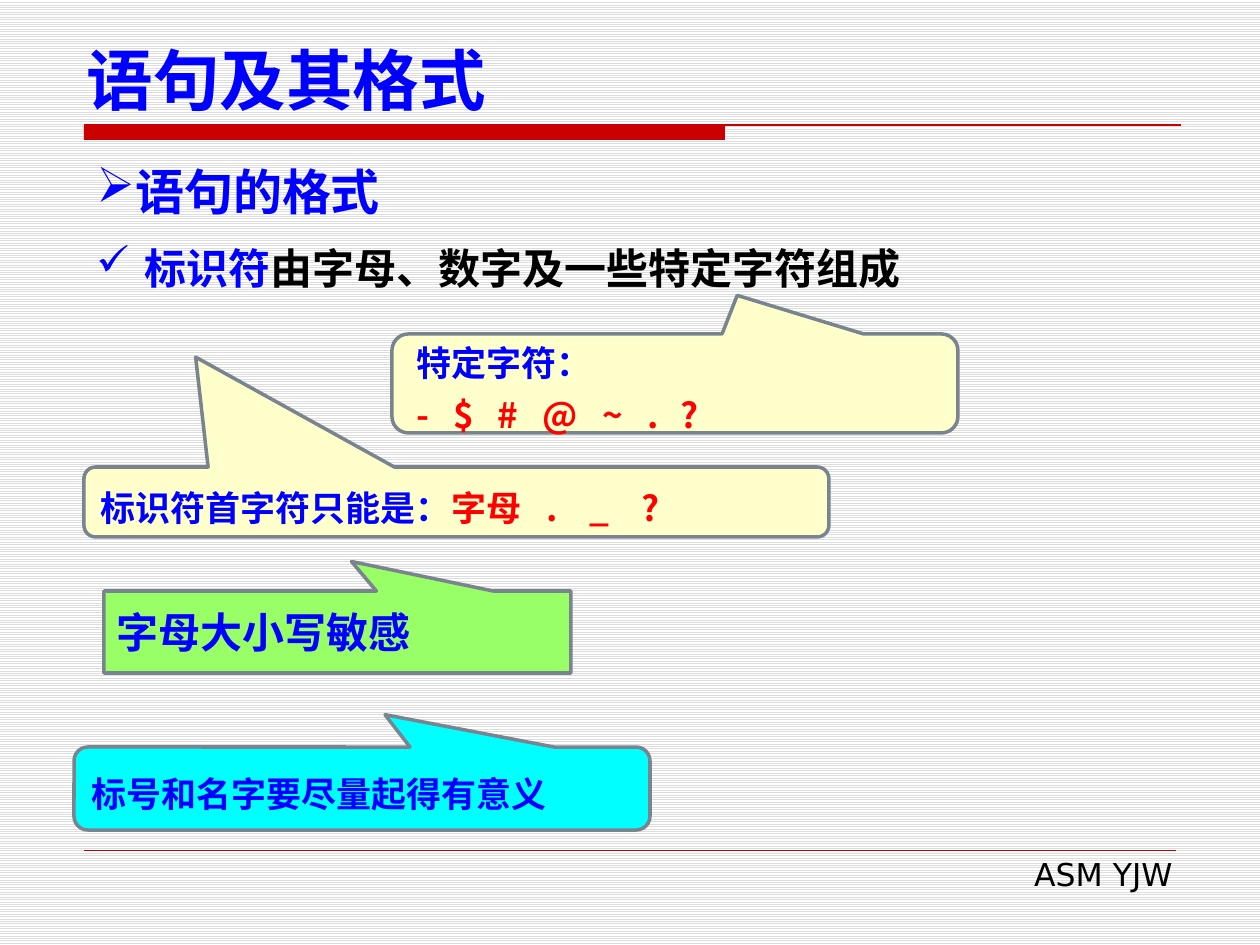
import pptx
import pptx.dml.color
import pptx.enum.dml
import pptx.enum.shapes
import pptx.enum.text
import pptx.oxml.ns
import pptx.util
from lxml import etree

COLORS = {"blue": "0000FF", "red": "FF0000", "rule": "CC0000", "black": "000000",
          "white": "FFFFFF", "stripe": "DDDDDD", "outline": "79848F",
          "green": "99FF66", "cyan": "00FFFF", "cream": "FFFFCC"}
COLORS = {name: pptx.dml.color.RGBColor.from_string(code) for name, code in COLORS.items()}
SANS, CJK = "DejaVu Sans", "Noto Sans CJK SC"
EMU_PER_PX = 914400 / 126
qn = pptx.oxml.ns.qn


def px(*lengths):
    return [round(length * EMU_PER_PX) for length in lengths]


def write(paragraph, runs, size, font, spacing=None, bold=True, bullet=None, hang=0, tabs=()):
    """Fill a paragraph with (text, colour) runs; hang and tabs are in px."""
    if spacing:
        paragraph.line_spacing = pptx.util.Pt(spacing)
    for text, color in runs:
        run = paragraph.add_run()
        run.text = text
        run.font.size = pptx.util.Pt(size)
        run.font.name = font
        run.font.bold = bold
        run.font.color.rgb = COLORS[color]
    properties = paragraph._p.get_or_add_pPr()
    if bullet:
        properties.set("marL", str(px(hang)[0]))
        properties.set("indent", str(px(-hang)[0]))
        etree.SubElement(properties, qn("a:buChar"), char=bullet)
    if tabs:
        stops = etree.SubElement(properties, qn("a:tabLst"))
        for stop in px(*tabs):
            etree.SubElement(stops, qn("a:tab"), pos=str(stop), algn="l")


deck = pptx.Presentation()
deck.slide_width, deck.slide_height = px(1260, 945)
slide = deck.slides.add_slide(deck.slide_layouts[5])

stripes = slide.background.fill
stripes.patterned()
stripes.pattern = pptx.enum.dml.MSO_PATTERN.LIGHT_HORIZONTAL
stripes.fore_color.rgb = COLORS["stripe"]
stripes.back_color.rgb = COLORS["white"]

# Title
title = slide.shapes.title
title.left, title.top, title.width, title.height = px(74, 35, 1142, 90)
title.text_frame.auto_size = pptx.enum.text.MSO_AUTO_SIZE.NONE
title.text_frame.vertical_anchor = pptx.enum.text.MSO_ANCHOR.BOTTOM
heading = title.text_frame.paragraphs[0]
heading.alignment = pptx.enum.text.PP_ALIGN.LEFT
write(heading, [("语句及其格式", "blue")], 38, SANS)

# Red bar and rules
bar = slide.shapes.add_shape(pptx.enum.shapes.MSO_SHAPE.RECTANGLE, *px(84, 125, 641, 15))
bar.shadow.inherit = False
bar.fill.solid()
bar.fill.fore_color.rgb = COLORS["rule"]
bar.line.fill.background()
for right, y, weight in [(1181, 125, 0.75), (1176, 850, 0.25)]:
    rule = slide.shapes.add_connector(pptx.enum.shapes.MSO_CONNECTOR.STRAIGHT,
                                      *px(84, y, right, y))
    rule.line.color.rgb = COLORS["rule"]
    rule.line.width = pptx.util.Pt(weight)
    etree.SubElement(rule._element.spPr, qn("a:effectLst"))

# Bulleted lines and footer
LEFT, RIGHT = pptx.enum.text.PP_ALIGN.LEFT, pptx.enum.text.PP_ALIGN.RIGHT
JUSTIFY = pptx.enum.text.PP_ALIGN.JUSTIFY
lines = [
    ((84, 155, 1091, 72), JUSTIFY, [("语句的格式", "blue")],
     dict(size=28, font=SANS, bullet="➢")),
    ((84, 224, 1081, 68), LEFT,
     [("标识符", "blue"), ("由字母、数字及一些特定字符组成", "black")],
     dict(size=24, font=CJK, spacing=36, bullet="✓", hang=48)),
    ((481, 849, 704, 50), RIGHT, [("ASM YJW", "black")],
     dict(size=18, font=SANS, bold=False)),
]
for box, alignment, runs, style in lines:
    frame = slide.shapes.add_textbox(*px(*box)).text_frame
    frame.word_wrap = True
    frame.paragraphs[0].alignment = alignment
    write(frame.paragraphs[0], runs, **style)

# Callouts: kind, box, pointer tip, fill, left inset, text style, paragraphs (runs, tabs)
SQUARE = pptx.enum.shapes.MSO_SHAPE.RECTANGULAR_CALLOUT
ROUND = pptx.enum.shapes.MSO_SHAPE.ROUNDED_RECTANGULAR_CALLOUT
callouts = [
    (SQUARE, (104, 591, 467, 82), (0.03, -0.86), "green", 13, dict(size=24, font=SANS),
     [([("字母大小写敏感", "blue")], ())]),
    (ROUND, (74, 747, 576, 83), (0.04, -0.89), "cyan", 13,
     dict(size=20, font=SANS, spacing=30),
     [([("标号和名字要尽量起得有意义", "blue")], ())]),
    (ROUND, (392, 334, 566, 99), (0.11, -0.89), "cream", 20,
     dict(size=20, font=CJK, spacing=30),
     [([("特定字符：", "blue")], ()),
      ([("-\t$\t#\t@\t~\t.\t?", "red")], (37, 81, 126, 186, 231, 264))]),
    (ROUND, (84, 467, 745, 70), (-0.35, -2.07), "cream", 13,
     dict(size=20, font=CJK, spacing=30),
     [([("标识符首字符只能是：", "blue"), ("字母\t.\t_\t?", "red")], (446, 489, 541))]),
]
for kind, box, tip, fill, inset, style, paragraphs in callouts:
    callout = slide.shapes.add_shape(kind, *px(*box))
    callout.shadow.inherit = False
    callout.adjustments[0], callout.adjustments[1] = tip
    callout.fill.solid()
    callout.fill.fore_color.rgb = COLORS[fill]
    callout.line.color.rgb = COLORS["outline"]
    callout.line.width = pptx.util.Pt(2)
    frame = callout.text_frame
    frame.word_wrap = True
    frame.margin_left = px(inset)[0]
    frame.vertical_anchor = pptx.enum.text.MSO_ANCHOR.MIDDLE
    for number, (runs, tabs) in enumerate(paragraphs):
        paragraph = frame.add_paragraph() if number else frame.paragraphs[0]
        paragraph.alignment = LEFT
        write(paragraph, runs, tabs=tabs, **style)

deck.save("out.pptx")
